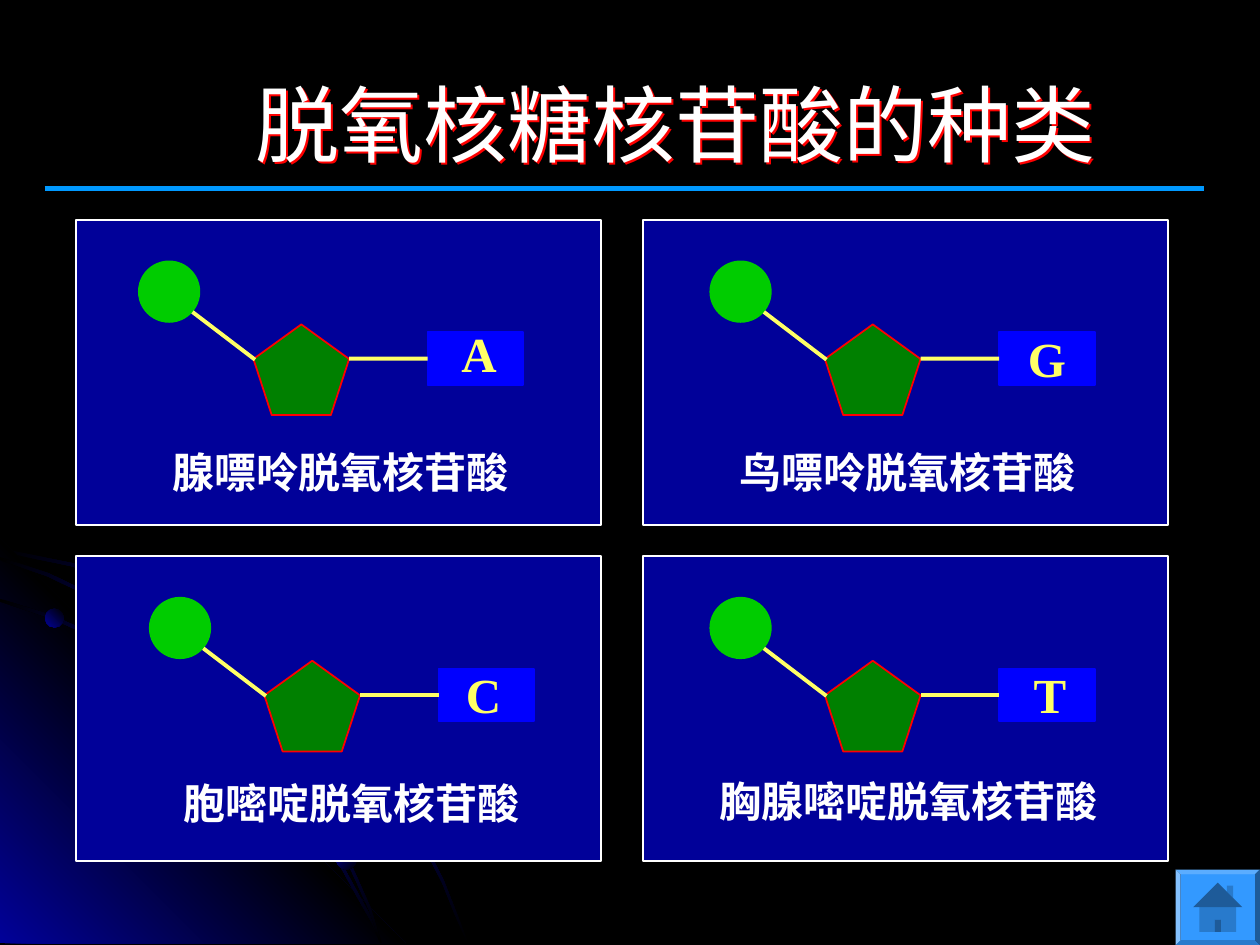
from lxml import etree
from pptx import Presentation
from pptx import util as u
from pptx.dml.color import RGBColor
from pptx.enum import shapes as s, text as t
from pptx.oxml import parse_xml
from pptx.oxml.ns import nsdecls, qn

BLACK = RGBColor(0x00, 0x00, 0x00)
WHITE = RGBColor(0xFF, 0xFF, 0xFF)
NAVY = RGBColor(0x01, 0x01, 0x99)
BLUE = RGBColor(0x00, 0x00, 0xFF)
SKY = RGBColor(0x00, 0x99, 0xFF)
BUTTON_BLUE = RGBColor(0x33, 0x99, 0xFF)
GREEN = RGBColor(0x00, 0xCC, 0x00)
DARK_GREEN = RGBColor(0x00, 0x80, 0x00)
RED = RGBColor(0xFF, 0x00, 0x00)
YELLOW = RGBColor(0xFF, 0xFF, 0x66)
FONT = "Times New Roman"

# Upper edges of the background arcs, in centimetres
OUTER_ARC = [(0, 11.05), (0.71, 11.2), (1.45, 11.35), (2.49, 11.66), (3.45, 12.12),
             (4.42, 12.62), (5.31, 13.23), (6.15, 13.92), (6.91, 14.68), (7.62, 15.52),
             (8.26, 16.46), (8.61, 17.09), (8.94, 17.73), (9.19, 18.36), (9.45, 19.02)]
INNER_ARC = [(0, 12.07), (1.04, 12.4), (2.01, 12.83), (2.97, 13.36), (3.86, 13.94),
             (4.67, 14.63), (5.46, 15.39), (6.15, 16.26), (6.76, 17.17), (7.26, 18.08),
             (7.52, 18.54), (7.7, 19.02)]
MIDDLE_ARC = [(0, 11.23), (0.99, 11.56), (1.93, 12.01), (2.82, 12.52), (3.66, 13.11),
              (4.45, 13.79), (5.18, 14.55), (5.82, 15.32), (6.45, 16.23), (6.83, 16.89),
              (7.16, 17.6), (7.47, 18.29), (7.7, 19.02)]
CORNER = [(0, 10.85), (8.18, 19.02), (0, 19.02)]

PANEL_LEFTS = (1.53, 12.96)
PANEL_TOPS = (4.43, 11.21)
# Base, molecule inset, letter offset from its base, label, label left, top and width
NUCLEOTIDES = [
    ("A", 1.27, (0.43, -0.3), "腺嘌呤脱氧核苷酸", (3.23, 8.87, 8.08)),
    ("G", 1.36, (0.33, -0.2), "鸟嘌呤脱氧核苷酸", (14.66, 8.87, 8.23)),
    ("C", 1.49, (0.3, -0.2), "胞嘧啶脱氧核苷酸", (3.45, 15.54, 8.05)),
    ("T", 1.36, (0.45, -0.2), "胸腺嘧啶脱氧核苷酸", (14.25, 15.5, 8.85)),
]


def add_shape(shapes, kind, left, top, width, height, fill, line=None):
    shape = shapes.add_shape(kind, u.Cm(left), u.Cm(top), u.Cm(width), u.Cm(height))
    shape.shadow.inherit = False
    shape.fill.solid()
    shape.fill.fore_color.rgb = fill
    if line is None:
        shape.line.fill.background()
    else:
        shape.line.color.rgb = line
        shape.line.width = u.Pt(1)
    return shape


def add_line(shapes, start, end, color, width):
    line = shapes.add_connector(s.MSO_CONNECTOR.STRAIGHT, u.Cm(start[0]), u.Cm(start[1]),
                                u.Cm(end[0]), u.Cm(end[1]))
    line.line.color.rgb = color
    line.line.width = u.Pt(width)
    etree.SubElement(line._element.spPr, qn("a:effectLst"))
    return line


def write_text(shape, content, *, size, color, bold=False, wrap=True):
    frame = shape.text_frame
    frame.word_wrap = wrap
    frame.auto_size = t.MSO_AUTO_SIZE.NONE
    frame.vertical_anchor = t.MSO_ANCHOR.TOP
    paragraph = frame.paragraphs[0]
    paragraph.text = content
    paragraph.alignment = t.PP_ALIGN.LEFT
    font = paragraph.runs[0].font
    font.name, font.size, font.bold = FONT, u.Pt(size), bold
    font.color.rgb = color


def add_text(shapes, left, top, width, height, content, **style):
    box = shapes.add_textbox(u.Cm(left), u.Cm(top), u.Cm(width), u.Cm(height))
    write_text(box, content, **style)


def set_gradient(shape, colors, angle):
    """Spread the colours evenly along a clockwise angle, with no outline."""
    shape.shadow.inherit = False
    shape.line.fill.background()
    shape.fill.gradient()
    gradient = shape._element.spPr.find(qn("a:gradFill"))
    stops = "".join(
        f'<a:gs pos="{100000 * i // (len(colors) - 1)}"><a:srgbClr val="{color}"/></a:gs>'
        for i, color in enumerate(colors))
    gradient.getparent().replace(gradient, parse_xml(
        f'<a:gradFill {nsdecls("a")} rotWithShape="1"><a:gsLst>{stops}</a:gsLst>'
        f'<a:lin ang="{angle * 60000}" scaled="0"/></a:gradFill>'))


def add_outline(shapes, points, colors, angle):
    points = [(u.Cm(x), u.Cm(y)) for x, y in points]
    builder = shapes.build_freeform(*points[0], scale=1.0)
    builder.add_line_segments(points[1:], close=True)
    set_gradient(builder.convert_to_shape(), colors, angle)


def add_arc(shapes, edge):
    lower_edge = [(max(x - 0.03, 0), min(y + 0.06, 19.02)) for x, y in reversed(edge)]
    add_outline(shapes, edge + lower_edge, (BLACK, NAVY, BLACK), 225)


def add_background(slide):
    slide.background.fill.solid()
    slide.background.fill.fore_color.rgb = BLACK
    shapes = slide.shapes.add_group_shape().shapes
    add_arc(shapes, OUTER_ARC)
    add_outline(shapes, CORNER, (NAVY, BLACK, NAVY), 135)
    add_arc(shapes, INNER_ARC)
    add_arc(shapes, MIDDLE_ARC)
    for left, top, size, angle in ((0.91, 12.27, 0.38, 135), (6.78, 17.12, 0.41, 225)):
        dot = add_shape(shapes, s.MSO_SHAPE.OVAL, left, top, size, size, NAVY)
        set_gradient(dot, (BLACK, NAVY), angle)


def add_title(slide, content):
    title = slide.shapes.title
    title.left, title.top = u.Cm(4.9), u.Cm(1.34)
    title.width, title.height = u.Cm(18.5), u.Cm(2.29)
    write_text(title, content, size=48, color=WHITE, wrap=False)
    title.fill.background()
    title._element.spPr.append(parse_xml(
        f'<a:effectLst {nsdecls("a")}><a:outerShdw dist="17961" dir="2700000" algn="ctr" '
        f'rotWithShape="0"><a:srgbClr val="{RED}"/></a:outerShdw></a:effectLst>'))


def add_nucleotide(slide, panel_left, panel_top, letter, inset, letter_offset):
    """Draw a panel with phosphate, sugar and base joined by bonds."""
    shapes = slide.shapes.add_group_shape().shapes
    add_shape(shapes, s.MSO_SHAPE.RECTANGLE, panel_left, panel_top, 10.58, 6.15, NAVY, WHITE)
    x, y = panel_left + inset, panel_top + 0.84
    base_left, base_top = x + 5.82, y + 1.43
    add_shape(shapes, s.MSO_SHAPE.REGULAR_PENTAGON, x + 2.31, y + 1.27, 1.93, 1.83,
              DARK_GREEN, RED)
    base = add_shape(shapes, s.MSO_SHAPE.RECTANGLE, base_left, base_top, 1.93, 1.06, BLUE, BLUE)
    add_shape(shapes, s.MSO_SHAPE.OVAL, x, y, 1.22, 1.22, GREEN, GREEN)
    bond = add_line(shapes, (x + 4.24, y + 1.96), (base_left, y + 1.96), YELLOW, 2.25)
    bond.end_connect(base, 1)
    add_line(shapes, (x + 1.08, y + 1.02), (x + 2.34, y + 1.98), YELLOW, 2.25)
    add_text(shapes, base_left + letter_offset[0], base_top + letter_offset[1], 1.27, 1.45,
             letter, size=28, color=YELLOW, bold=True, wrap=False)


def add_home_button(slide):
    """Draw a raised frame with the home symbol on its face."""
    left, top, width, height, edge = 23.7, 17.53, 1.7, 1.52, 0.1
    shapes = slide.shapes.add_group_shape().shapes
    frame = add_shape(shapes, s.MSO_SHAPE.BEVEL, left, top, width, height, BUTTON_BLUE)
    frame.adjustments[0] = edge / height
    add_shape(shapes, s.MSO_SHAPE.ACTION_BUTTON_HOME, left + edge, top + edge,
              width - 2 * edge, height - 2 * edge, BUTTON_BLUE)


def main():
    presentation = Presentation()
    presentation.slide_width, presentation.slide_height = u.Cm(25.4), u.Cm(19.05)
    slide = presentation.slides.add_slide(presentation.slide_layouts[5])
    add_background(slide)
    for i, (letter, inset, offset, label, (left, top, width)) in enumerate(NUCLEOTIDES):
        row, column = divmod(i, 2)
        add_nucleotide(slide, PANEL_LEFTS[column], PANEL_TOPS[row], letter, inset, offset)
        add_text(slide.shapes, left, top, width, 1.27, label, size=24, color=WHITE, bold=True)
    add_title(slide, "脱氧核糖核苷酸的种类")
    add_line(slide.shapes, (0.9, 3.8), (24.28, 3.8), SKY, 3)
    add_home_button(slide)
    presentation.save("out.pptx")


if __name__ == "__main__":
    main()
